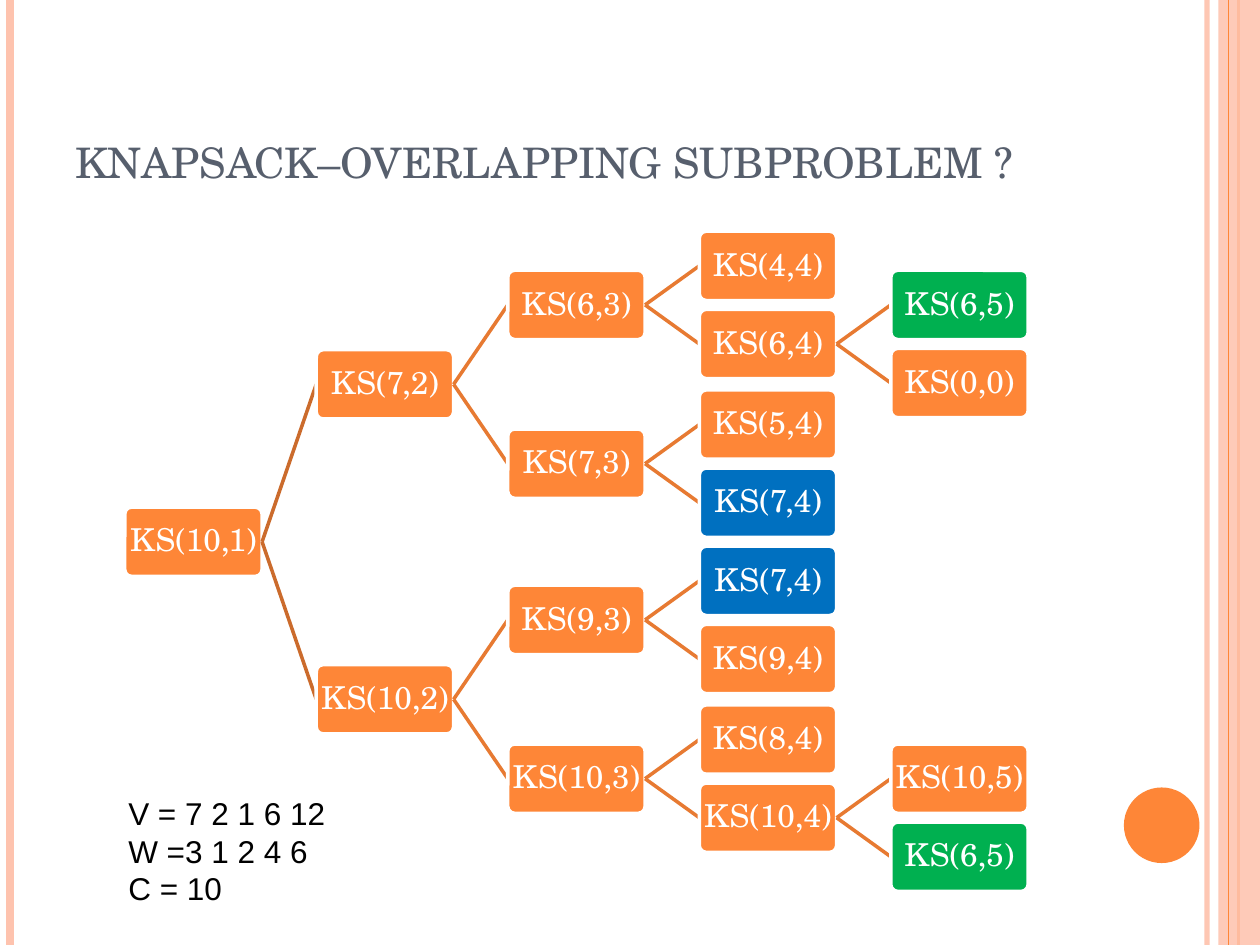
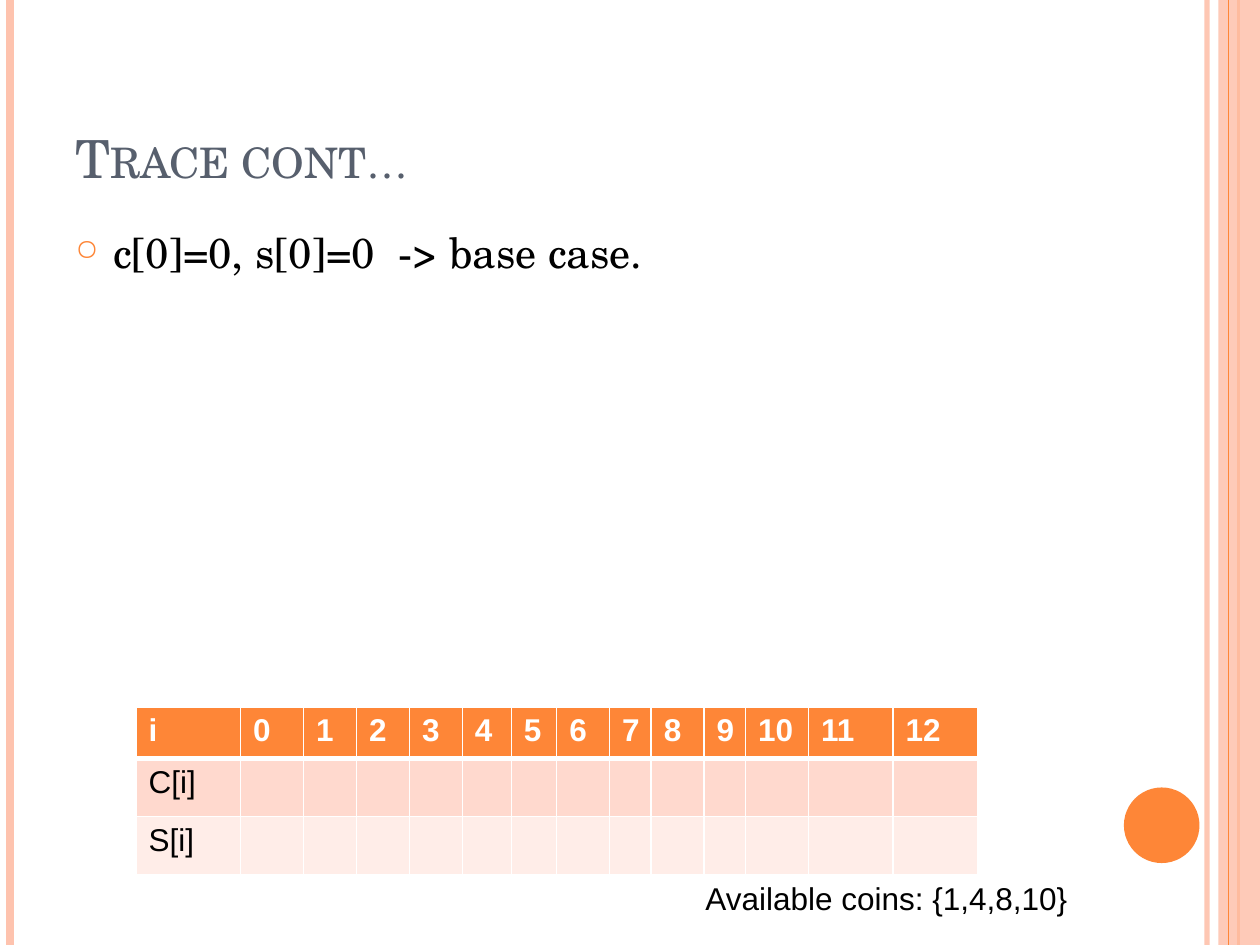
"""Build two slides: a knapsack recursion tree and a coin-change trace table."""
from lxml.etree import SubElement
from pptx import Presentation
from pptx.dml.color import RGBColor
from pptx.enum.shapes import MSO_CONNECTOR as Connector, MSO_SHAPE as Shape
from pptx.enum.text import MSO_ANCHOR as Anchor, PP_ALIGN as Align
from pptx.oxml.ns import qn
from pptx.util import Inches, Pt

ORANGE = RGBColor(0xFE, 0x86, 0x37)
PEACH = RGBColor(0xFE, 0xC3, 0xAE)
SLATE = RGBColor(0x57, 0x5F, 0x6D)
GREEN = RGBColor(0x00, 0xB0, 0x50)
BLUE = RGBColor(0x00, 0x70, 0xC0)
ROOT_LINK = RGBColor(0xCB, 0x6B, 0x2C)
LINK = RGBColor(0xE7, 0x7A, 0x32)
ROW_DARK = RGBColor(0xFF, 0xD9, 0xCE)
ROW_LIGHT = RGBColor(0xFF, 0xED, 0xE8)
WHITE = RGBColor(0xFF, 0xFF, 0xFF)
BLACK = RGBColor(0x00, 0x00, 0x00)

SERIF = "TeX Gyre Schola"
TITLE = {"name": SERIF, "size": Pt(30), "color": SLATE}
BODY = {"name": SERIF, "size": Pt(24), "color": BLACK}
NODE = {"name": SERIF, "size": Pt(18), "color": WHITE}
NOTE = {"name": "Arial", "size": Pt(18), "color": BLACK}
HEADER = {**NOTE, "color": WHITE, "bold": True}


def write(frame, lines, style):
    """Fill a text frame with one styled paragraph per line."""
    for number, line in enumerate(lines):
        para = frame.add_paragraph() if number else frame.paragraphs[0]
        span = para.add_run()
        span.text = line
        for key, value in style.items():
            if key == "color":
                span.font.color.rgb = value
            else:
                setattr(span.font, key, value)


def draw_line(page, start, end, color, width, opacity=100):
    """Draw a straight line without a shadow between two points in inches."""
    line = page.shapes.add_connector(
        Connector.STRAIGHT, *[Inches(value) for value in (*start, *end)])
    line.line.color.rgb = color
    line.line.width = Pt(width)
    if opacity < 100:
        fill_color = next(line.line._ln.iter(qn("a:srgbClr")))
        SubElement(fill_color, qn("a:alpha"), val=str(opacity * 1000))
    SubElement(line._element.spPr, qn("a:effectLst"))


deck = Presentation()
deck.slide_width, deck.slide_height = Inches(10), Inches(7.5)

BACK_RAILS = [(9.58, PEACH, 3, 93), (0.08, PEACH, 4.5, 100), (9.83, ORANGE, 1.5, 100)]
pages = []
for title in ("knapsack–overlapping subproblem ?", "Trace cont…"):
    page = deck.slides.add_slide(deck.slide_layouts[6])
    pages.append(page)
    for x, color, width, opacity in BACK_RAILS:
        draw_line(page, (x, 0), (x, 7.5), color, width, opacity)
    band = page.shapes.add_shape(
        Shape.RECTANGLE, Inches(9.67), 0, Inches(0.33), Inches(7.5))
    draw_line(page, (9.75, 0), (9.75, 7.5), ORANGE, 0.75)
    disc = page.shapes.add_shape(
        Shape.OVAL, Inches(8.92), Inches(6.25), Inches(0.6), Inches(0.6))
    for shape, color in ((band, PEACH), (disc, ORANGE)):
        shape.shadow.inherit = False
        shape.fill.solid()
        shape.fill.fore_color.rgb = color
        shape.line.fill.background()
    band_color = next(band._element.spPr.iter(qn("a:srgbClr")))
    SubElement(band_color, qn("a:alpha"), val="87000")

    box = page.shapes.add_textbox(Inches(0.5), Inches(0.3), Inches(8.17), Inches(1.25))
    box.text_frame.word_wrap = True
    box.text_frame.vertical_anchor = Anchor.BOTTOM
    write(box.text_frame, [title], TITLE)
    box.text_frame.paragraphs[0].runs[0].font._element.set("cap", "small")

tree_page, trace_page = pages

TREE = {
    "": "KS(10,1)",
    "U": "KS(7,2)",
    "UU": "KS(6,3)",
    "UUU": "KS(4,4)",
    "UUD": "KS(6,4)",
    "UUDU": "KS(6,5)",
    "UUDD": "KS(0,0)",
    "UD": "KS(7,3)",
    "UDU": "KS(5,4)",
    "UDD": "KS(7,4)",
    "D": "KS(10,2)",
    "DU": "KS(9,3)",
    "DUU": "KS(7,4)",
    "DUD": "KS(9,4)",
    "DD": "KS(10,3)",
    "DDU": "KS(8,4)",
    "DDD": "KS(10,4)",
    "DDDU": "KS(10,5)",
    "DDDD": "KS(6,5)",
}
REPEATED = {"KS(6,5)": GREEN, "KS(7,4)": BLUE}
SPREAD = (1.25, 0.63, 0.31, 0.31)
NODE_W, NODE_H = 1.09, 0.55
COLUMN_STEP = 1.52
centers = {}
for route, label in TREE.items():
    level = len(route)
    left = 0.99 + COLUMN_STEP * level
    center = 4.3
    if route:
        parent = route[:-1]
        offset = SPREAD[level - 1]
        center = centers[parent] + (offset if route[-1] == "D" else -offset)
        draw_line(tree_page, (left - COLUMN_STEP + NODE_W, centers[parent]),
                  (left, center), LINK if parent else ROOT_LINK, 2)
    centers[route] = center
    node = tree_page.shapes.add_shape(
        Shape.ROUNDED_RECTANGLE, Inches(left), Inches(center - NODE_H / 2),
        Inches(NODE_W), Inches(NODE_H))
    node.adjustments[0] = 0.1
    node.shadow.inherit = False
    node.fill.solid()
    node.fill.fore_color.rgb = REPEATED.get(label, ORANGE)
    node.line.color.rgb = WHITE
    node.line.width = Pt(2)
    frame = node.text_frame
    frame.word_wrap = False
    frame.vertical_anchor = Anchor.MIDDLE
    for side in ("left", "top", "right", "bottom"):
        setattr(frame, f"margin_{side}", Inches(0.01))
    write(frame, [label], NODE)
    frame.paragraphs[0].alignment = Align.CENTER
    frame.paragraphs[0].line_spacing = 0.9

NOTES = [
    (tree_page, (0.92, 6.25, 2.33, 1.01), ["V = 7 2 1 6 12", "W =3 1 2 4 6", "C = 10"]),
    (trace_page, (5.5, 6.93, 3.17, 0.4), ["Available coins: {1,4,8,10}"]),
]
for page, place, lines in NOTES:
    box = page.shapes.add_textbox(*[Inches(value) for value in place])
    box.text_frame.word_wrap = True
    write(box.text_frame, lines, NOTE)

body = trace_page.shapes.add_textbox(
    Inches(0.5), Inches(1.75), Inches(8.17), Inches(5.33))
body.text_frame.word_wrap = True
bullet = body.text_frame.paragraphs[0]._p.get_or_add_pPr()
bullet.set("marL", str(Inches(0.3)))
bullet.set("indent", str(Inches(-0.3)))
SubElement(SubElement(bullet, qn("a:buClr")), qn("a:srgbClr"), val=str(ORANGE))
SubElement(bullet, qn("a:buSzPct"), val="70000")
SubElement(bullet, qn("a:buChar"), char="○")
write(body.text_frame, ["c[0]=0, s[0]=0  -> base case."], BODY)

COLUMN_WIDTHS = (0.83, 0.5, 0.42, 0.42, 0.42, 0.39, 0.36,
                 0.42, 0.33, 0.42, 0.33, 0.5, 0.67, 0.67)
ROWS = [
    (["i", *map(str, range(13))], 0.41, ORANGE, HEADER),
    (["C[i]"], 0.46, ROW_DARK, NOTE),
    (["S[i]"], 0.46, ROW_LIGHT, NOTE),
]
table = trace_page.shapes.add_table(
    len(ROWS), len(COLUMN_WIDTHS), Inches(1.08), Inches(5.61),
    Inches(6.67), Inches(1.33)).table
for column, width in zip(table.columns, COLUMN_WIDTHS):
    column.width = Inches(width)
for row_number, (texts, height, color, style) in enumerate(ROWS):
    table.rows[row_number].height = Inches(height)
    for column_number in range(len(COLUMN_WIDTHS)):
        cell = table.cell(row_number, column_number)
        for side in "LRTB":
            thick = (row_number, side) in ((0, "B"), (1, "T"))
            border = SubElement(cell._tc.get_or_add_tcPr(), qn(f"a:ln{side}"),
                                w=str(Pt(3 if thick else 1)))
            SubElement(SubElement(border, qn("a:solidFill")),
                       qn("a:srgbClr"), val=str(WHITE))
        cell.fill.solid()
        cell.fill.fore_color.rgb = color
        if column_number < len(texts):
            write(cell.text_frame, [texts[column_number]], style)

deck.save("out.pptx")
